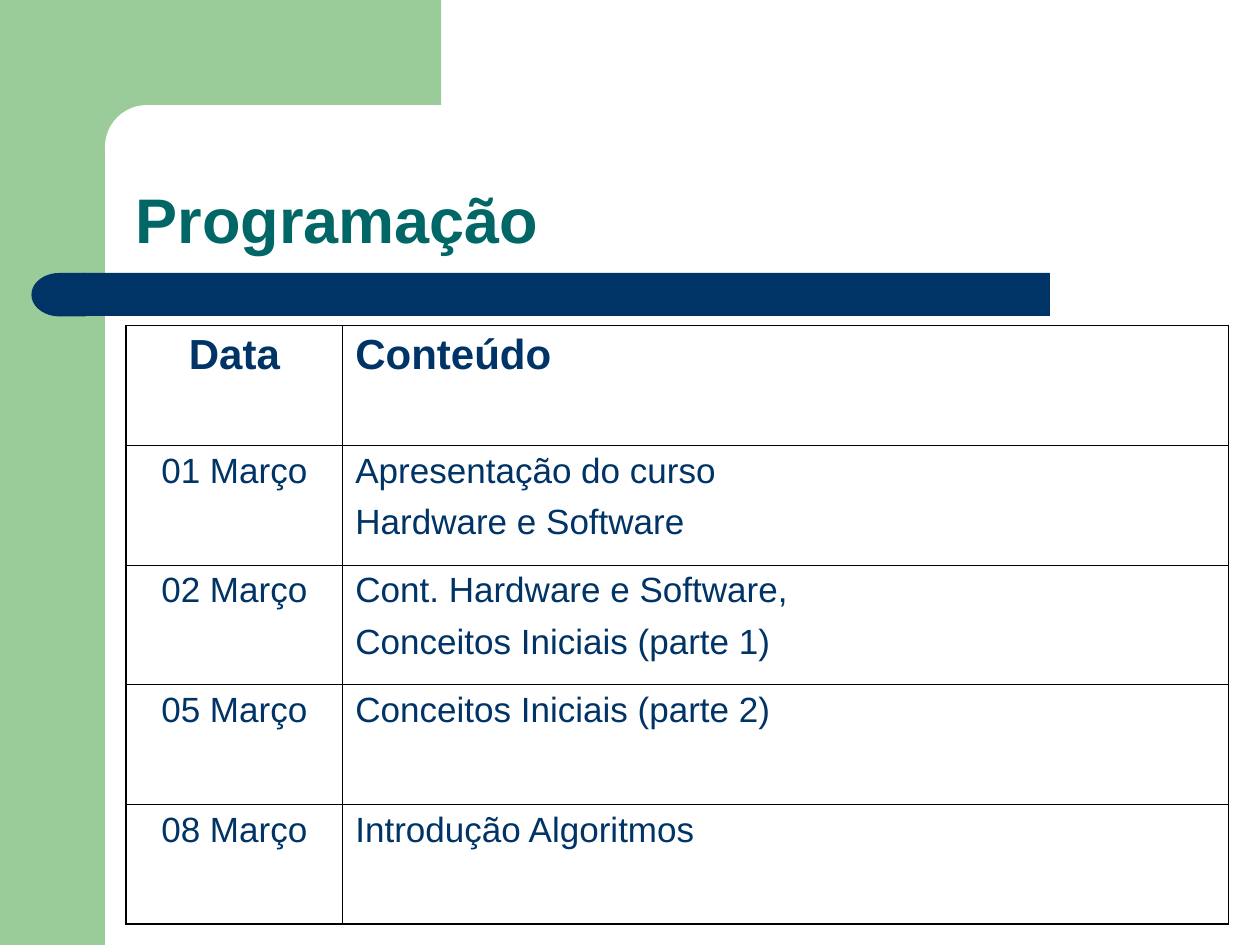
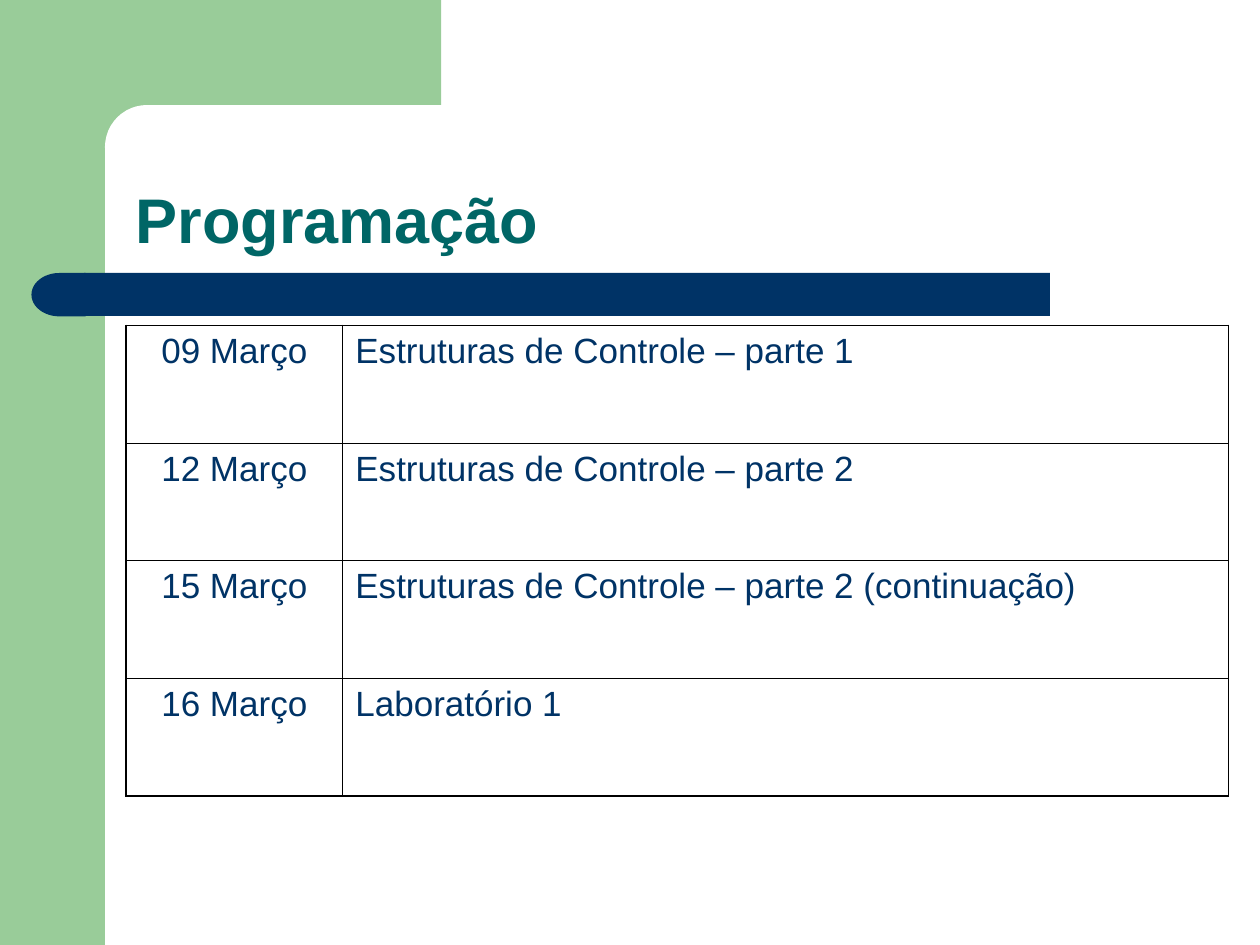
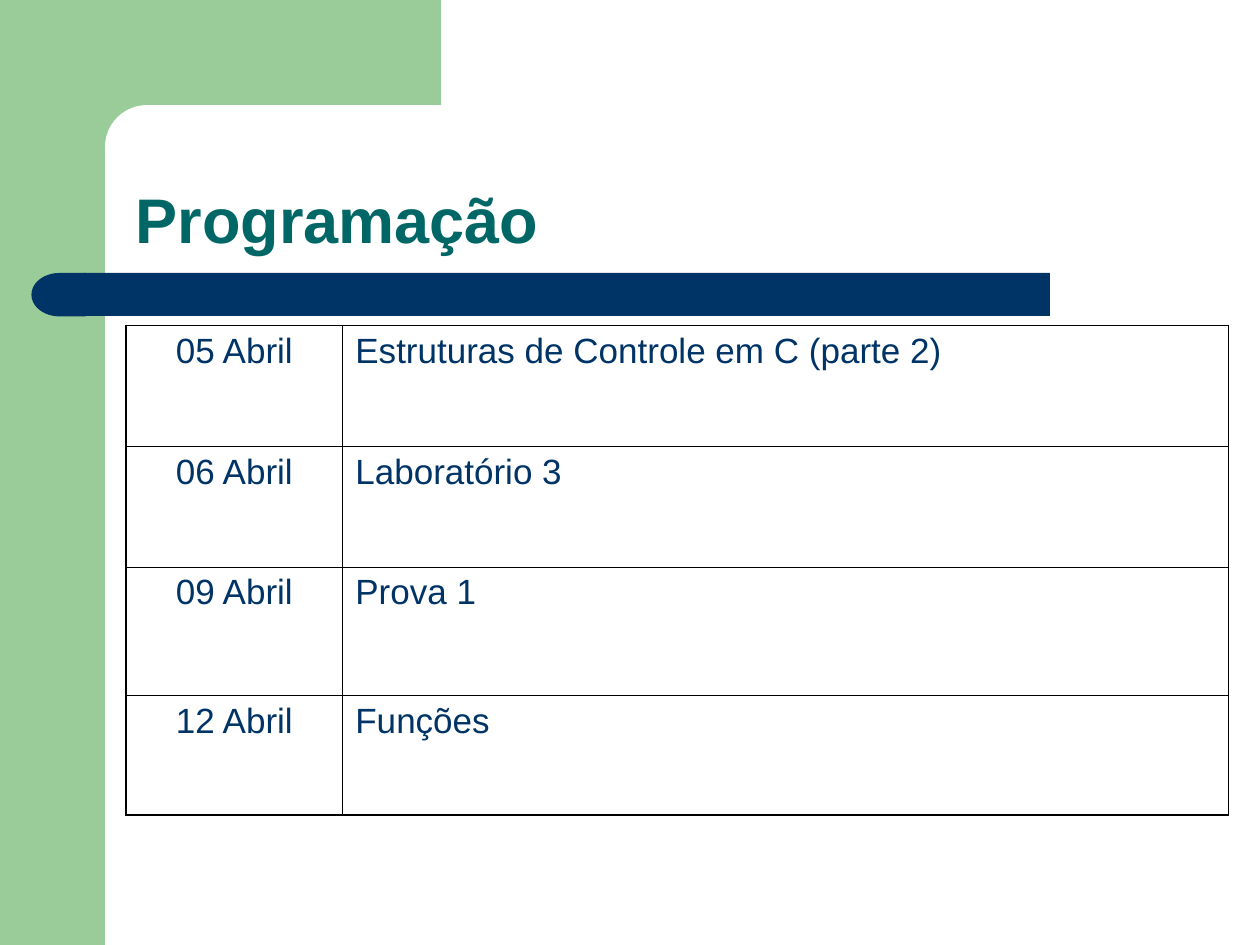
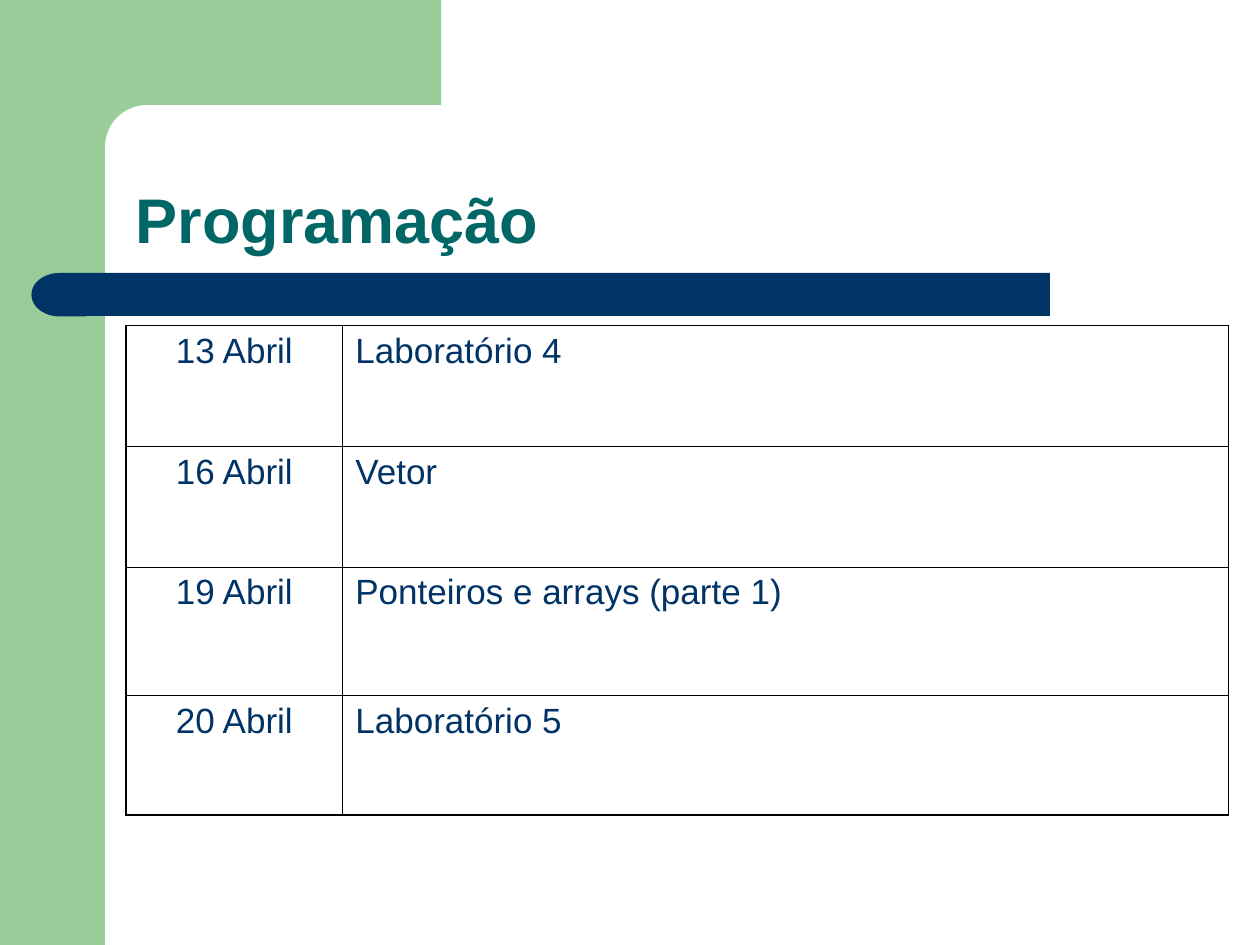
from dataclasses import dataclass
from math import cos, pi, sin
from typing import Optional

from lxml.etree import SubElement
from pptx import Presentation
from pptx.dml.color import RGBColor
from pptx.enum.shapes import MSO_SHAPE as Preset
from pptx.enum.text import MSO_ANCHOR as Anchor, PP_ALIGN as Align
from pptx.oxml.ns import qn
from pptx.util import Pt

FONT = "Arial"
GREEN, WHITE, NAVY, TEAL, BLACK = "99CC99", "FFFFFF", "003366", "006666", "000000"
TITLE = "Programação"
COLUMN_WIDTHS = (123.9, 506.1)
TABLE_LEFT, TABLE_TOP = 72, 186
OUTER_LINE, INNER_LINE = 1.08, 0.45


@dataclass(frozen=True)
class Panel:
    left: float
    top: float
    width: float
    height: float
    color: str
    rounding: Optional[float] = None  # None means a plain rectangle


@dataclass(frozen=True)
class Entry:
    date: str
    topics: tuple[str, ...]
    height: float
    header: bool = False


# Green corner, its rounded white cut-out and the title bar
PANELS = (
    Panel(0, 0, 60, 540, GREEN),
    Panel(54, 0, 198, 84, GREEN, 0.001),
    Panel(60, 60, 402, 48, WHITE, 0.5),
    Panel(48, 156, 552, 24.6, NAVY, 0.005),
)

SCHEDULES = (
    (
        Entry("Data", ("Conteúdo",), 68.4, header=True),
        Entry("01 Março", ("Apresentação do curso", "Hardware e Software"), 68.4),
        Entry("02 Março", ("Cont. Hardware e Software,", "Conceitos Iniciais (parte 1)"), 68.4),
        Entry("05 Março", ("Conceitos Iniciais (parte 2)",), 68.4),
        Entry("08 Março", ("Introdução Algoritmos",), 68.4),
    ),
    (
        Entry("09 Março", ("Estruturas de Controle – parte 1",), 67.2),
        Entry("12 Março", ("Estruturas de Controle – parte 2",), 67.2),
        Entry("15 Março", ("Estruturas de Controle – parte 2 (continuação)",), 67.2),
        Entry("16 Março", ("Laboratório 1",), 67.2),
    ),
    (
        Entry("05 Abril", ("Estruturas de Controle em C (parte 2)",), 69),
        Entry("06 Abril", ("Laboratório 3",), 69),
        Entry("09 Abril", ("Prova 1",), 73.4),
        Entry("12 Abril", ("Funções",), 68.4),
    ),
    (
        Entry("13 Abril", ("Laboratório 4",), 69),
        Entry("16 Abril", ("Vetor",), 69),
        Entry("19 Abril", ("Ponteiros e arrays (parte 1)",), 73.4),
        Entry("20 Abril", ("Laboratório 5",), 68.4),
    ),
)


def rgb(color: str) -> RGBColor:
    return RGBColor.from_string(color)


def paint(shape, color: str) -> None:
    shape.shadow.inherit = False
    shape.fill.solid()
    shape.fill.fore_color.rgb = rgb(color)
    shape.line.fill.background()


def write(frame, *lines: str, size: float, color: str, bold: bool = False,
          align: Align = Align.LEFT, line_spacing: Optional[float] = None,
          gap: float = 7) -> None:
    for index, line in enumerate(lines):
        paragraph = frame.add_paragraph() if index else frame.paragraphs[0]
        paragraph.alignment = align
        paragraph.line_spacing = line_spacing
        if index:
            paragraph.space_before = Pt(gap)
        run = paragraph.add_run()
        run.text = line
        run.font.name, run.font.size, run.font.bold = FONT, Pt(size), bold
        run.font.color.rgb = rgb(color)


def draw_panel(slide, panel: Panel) -> None:
    preset = Preset.RECTANGLE if panel.rounding is None else Preset.ROUNDED_RECTANGLE
    shape = slide.shapes.add_shape(
        preset, Pt(panel.left), Pt(panel.top), Pt(panel.width), Pt(panel.height))
    if panel.rounding is not None:
        shape.adjustments[0] = panel.rounding
    paint(shape, panel.color)


def draw_bar_cap(slide) -> None:
    """Half-ellipse that rounds off the left end of the title bar."""
    center_x, center_y, radius_x, radius_y, right, steps = 34, 168.4, 16, 12.4, 49, 24
    angles = [pi / 2 + pi * step / steps for step in range(steps + 1)]
    arc = [(Pt(center_x + radius_x * cos(angle)), Pt(center_y - radius_y * sin(angle)))
           for angle in angles]
    corners = [(Pt(right), Pt(center_y + radius_y)), (Pt(right), Pt(center_y - radius_y))]
    builder = slide.shapes.build_freeform(*arc[0])
    builder.add_line_segments(arc[1:] + corners, close=True)
    paint(builder.convert_to_shape(), NAVY)


def draw_title(slide) -> None:
    frame = slide.shapes.add_textbox(Pt(70.6), Pt(60.5), Pt(630), Pt(90)).text_frame
    frame.word_wrap = True
    frame.vertical_anchor = Anchor.BOTTOM
    write(frame, TITLE, size=36, color=TEAL, bold=True, line_spacing=0.93)


def set_borders(cell, widths: dict[str, float]) -> None:
    properties = cell._tc.get_or_add_tcPr()
    for side, width in widths.items():
        line = SubElement(properties, qn(f"a:ln{side}"), w=str(int(Pt(width))))
        fill = SubElement(line, qn("a:solidFill"))
        SubElement(fill, qn("a:srgbClr"), val=BLACK)


def draw_schedule(slide, entries: tuple[Entry, ...]) -> None:
    last_row, last_column = len(entries) - 1, len(COLUMN_WIDTHS) - 1
    table = slide.shapes.add_table(
        len(entries), len(COLUMN_WIDTHS), Pt(TABLE_LEFT), Pt(TABLE_TOP),
        Pt(sum(COLUMN_WIDTHS)), Pt(sum(entry.height for entry in entries))).table
    table.first_row = table.horz_banding = False
    for column, width in zip(table.columns, COLUMN_WIDTHS):
        column.width = Pt(width)

    def line_width(is_outer: bool) -> float:
        return OUTER_LINE if is_outer else INNER_LINE

    for row, entry in enumerate(entries):
        table.rows[row].height = Pt(entry.height)
        contents = ((entry.date,), Align.CENTER), (entry.topics, Align.LEFT)
        for column, (lines, align) in enumerate(contents):
            cell = table.cell(row, column)
            set_borders(cell, {
                "L": line_width(column == 0),
                "R": line_width(column == last_column),
                "T": line_width(row == 0),
                "B": line_width(row == last_row),
            })
            cell.fill.background()
            write(cell.text_frame, *lines, size=24 if entry.header else 20,
                  color=NAVY, bold=entry.header, align=align)


def main() -> None:
    presentation = Presentation()
    presentation.slide_width, presentation.slide_height = Pt(720), Pt(540)
    blank = presentation.slide_layouts[6]
    for entries in SCHEDULES:
        slide = presentation.slides.add_slide(blank)
        for panel in PANELS:
            draw_panel(slide, panel)
        draw_bar_cap(slide)
        draw_title(slide)
        draw_schedule(slide, entries)
    presentation.save("out.pptx")


if __name__ == "__main__":
    main()
